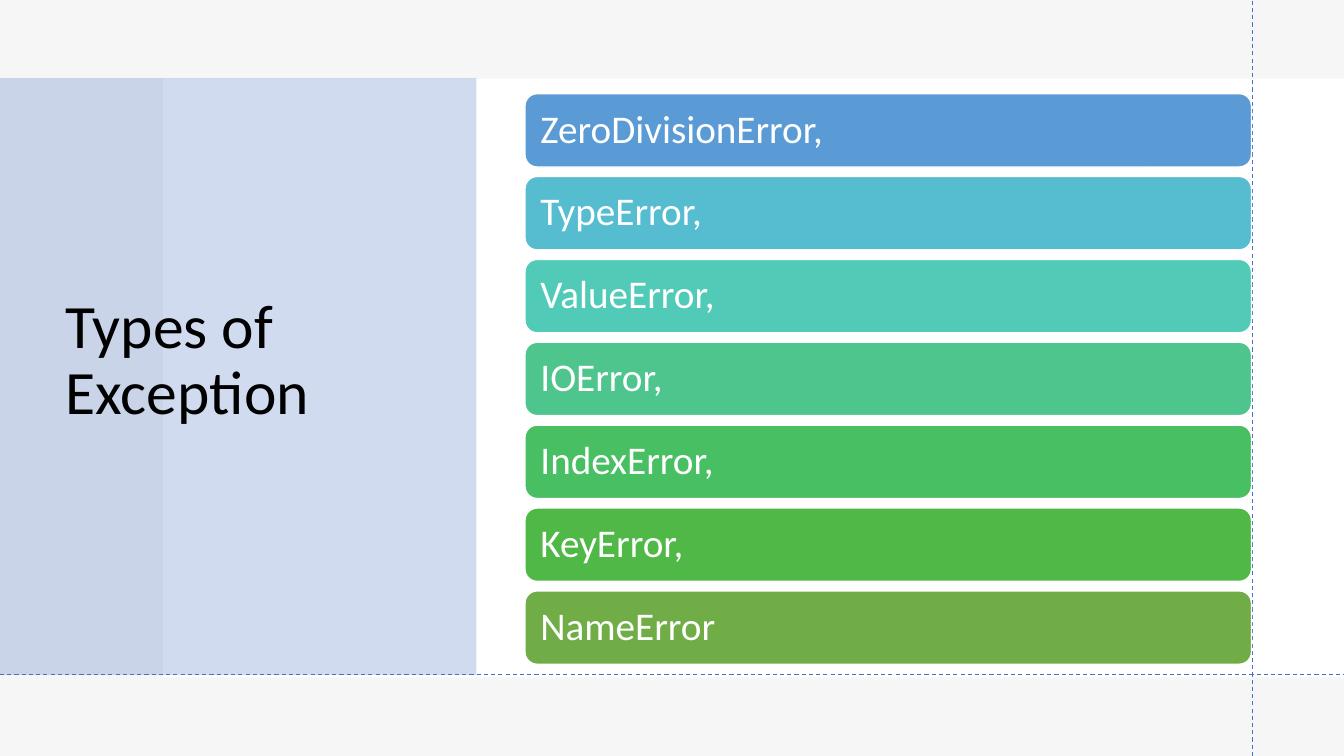
from pptx import Presentation
from pptx.dml.color import RGBColor
from pptx.enum.dml import MSO_LINE
from pptx.enum.shapes import MSO_CONNECTOR, MSO_SHAPE
from pptx.enum.text import MSO_ANCHOR, MSO_AUTO_SIZE, PP_ALIGN
from pptx.oxml.ns import qn
from pptx.util import Cm, Pt
from lxml.etree import SubElement

COLORS = {"white": "FFFFFF", "black": "000000", "grey": "E7E6E6",
          "page": "F7F6F6", "blue": "4472C4"}
EXCEPTIONS = [
    ("ZeroDivisionError,", "5B9BD5"),
    ("TypeError,", "56BCD0"),
    ("ValueError,", "52CAB8"),
    ("IOError,", "4DC58D"),
    ("IndexError,", "49BF64"),
    ("KeyError,", "50B846"),
    ("NameError", "70AD47"),
]
SLIDE_W, SLIDE_H = 33.87, 19.05
FONT = "Calibri"


def rgb(name):
    return RGBColor.from_string(COLORS.get(name, name))


def add_block(slide, box, color, opacity=100, kind=MSO_SHAPE.RECTANGLE):
    block = slide.shapes.add_shape(kind, *map(Cm, box))
    block.shadow.inherit = False
    block.fill.solid()
    block.fill.fore_color.rgb = rgb(color)
    block.line.fill.background()
    if opacity < 100:
        tint = block.fill._xPr.find(".//" + qn("a:srgbClr"))
        SubElement(tint, qn("a:alpha"), val=str(opacity * 1000))
    return block


def format_text(frame, size, color):
    frame.word_wrap = True
    frame.auto_size = MSO_AUTO_SIZE.NONE
    frame.vertical_anchor = MSO_ANCHOR.MIDDLE
    paragraph = frame.paragraphs[0]
    paragraph.alignment = PP_ALIGN.LEFT
    paragraph.line_spacing = 0.9
    font = paragraph.runs[0].font
    font.name, font.size = FONT, Pt(size)
    font.color.rgb = rgb(color)


def add_backdrop(slide, box):
    left, top, width, height = box
    add_block(slide, box, "white")
    add_block(slide, box, "grey", 35)
    add_block(slide, (left + 4.11, top + 1.98, width - 4.11, 15.09), "white")
    add_block(slide, (left, top + 1.97, 12.01, 15.04), "blue", 25)


def add_title(slide, box):
    title = slide.shapes.title
    title.left, title.top, title.width, title.height = map(Cm, box)
    title.text_frame.text = "Types of Exception"
    format_text(title.text_frame, 44, "black")
    # Bring the title in front of the backdrop
    title.element.getparent().append(title.element)


def add_guide(slide, *ends):
    guide = slide.shapes.add_connector(MSO_CONNECTOR.STRAIGHT, *map(Cm, ends))
    guide.line.color.rgb = rgb("blue")
    guide.line.width = Pt(0.75)
    guide.line.dash_style = MSO_LINE.DASH
    SubElement(guide.element.spPr, qn("a:effectLst"))


def add_exception_bars(slide, box, bar_height=1.85):
    left, top, width, height = box
    pitch = (height - bar_height) / (len(EXCEPTIONS) - 1)
    for row, (exception, color) in enumerate(EXCEPTIONS):
        bar = add_block(slide, (left, top + row * pitch, width, bar_height),
                        color, kind=MSO_SHAPE.ROUNDED_RECTANGLE)
        bar.line.color.rgb = rgb("white")
        bar.line.width = Pt(1)
        frame = bar.text_frame
        frame.text = exception
        frame.margin_left = frame.margin_right = Cm(0.3)
        frame.margin_top = frame.margin_bottom = Cm(0.3)
        format_text(frame, 28, "white")


def main():
    deck = Presentation()
    deck.slide_width, deck.slide_height = Cm(SLIDE_W), Cm(SLIDE_H)
    slide = deck.slides.add_slide(deck.slide_layouts[5])
    slide.background.fill.solid()
    slide.background.fill.fore_color.rgb = rgb("page")
    add_backdrop(slide, (0, 0, SLIDE_W, SLIDE_H))
    add_title(slide, (1.4, 1.88, 10.03, 14.45))
    add_guide(slide, 31.57, SLIDE_H, 31.57, 0)
    add_guide(slide, 0, 17, SLIDE_W, 17)
    add_exception_bars(slide, (13.23, 2.36, 18.31, 14.38))
    deck.save("out.pptx")


if __name__ == "__main__":
    main()
